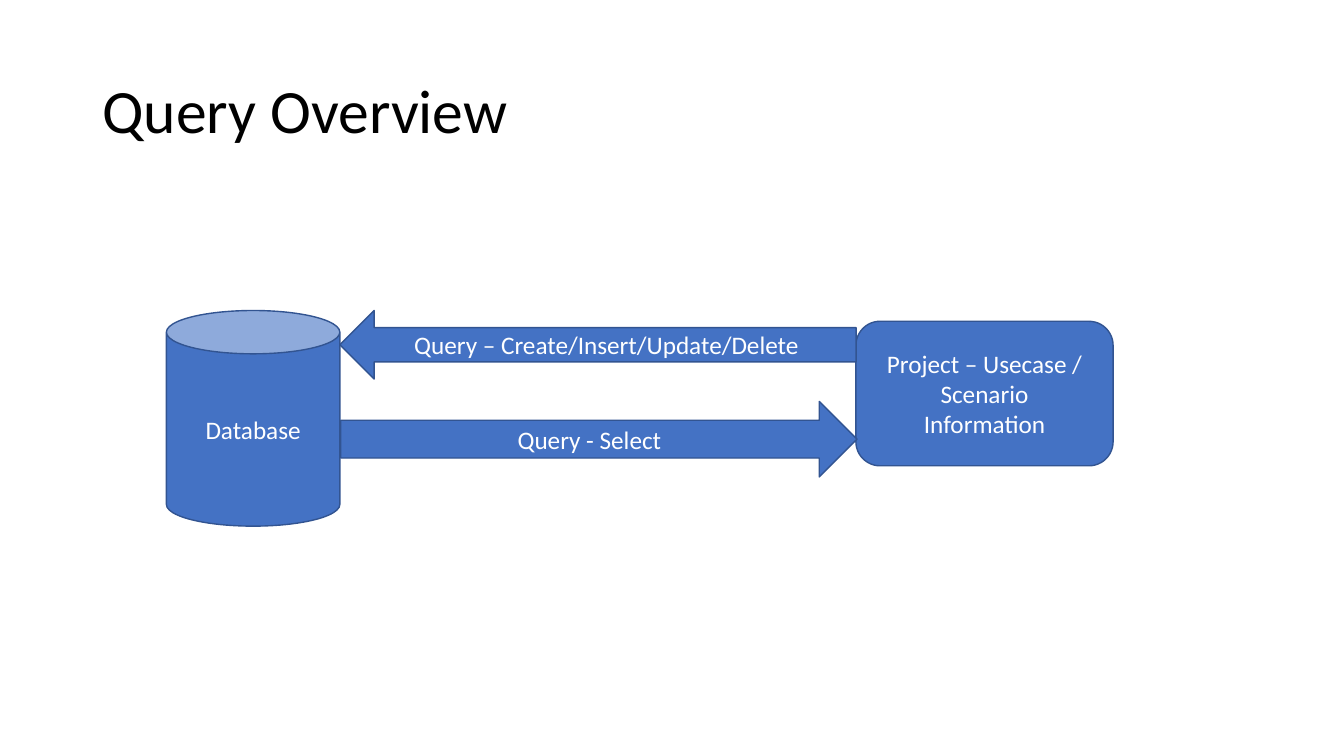
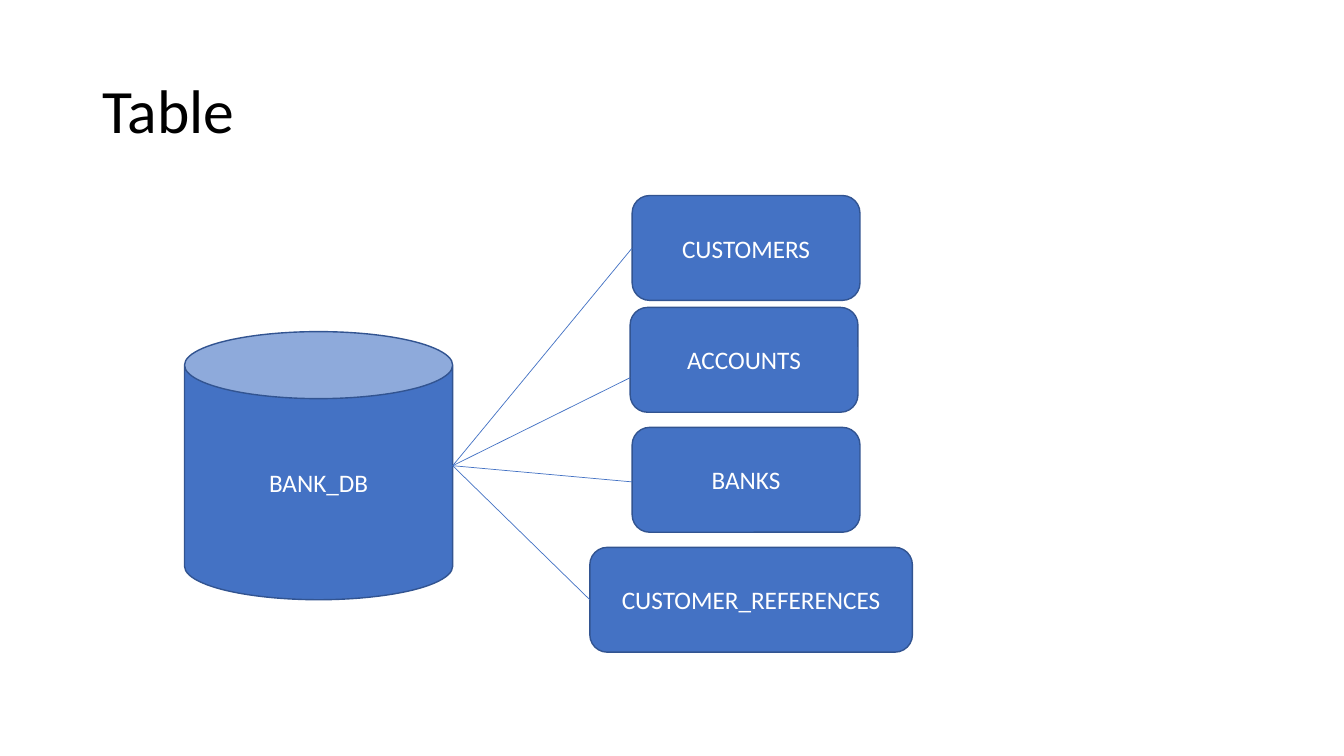
from dataclasses import dataclass
from typing import NamedTuple

from lxml import etree
from pptx import Presentation
from pptx import util as u
from pptx.dml.color import RGBColor
from pptx.enum import shapes, text
from pptx.oxml.ns import qn

KIND = shapes.MSO_SHAPE


@dataclass(frozen=True)
class Theme:
    """Colours, type and line widths shared by the slides."""
    font: str = "Calibri"
    title_size: float = 44
    label_size: float = 18
    title_color: RGBColor = RGBColor(0, 0, 0)
    label_color: RGBColor = RGBColor(255, 255, 255)
    fill: RGBColor = RGBColor.from_string("4472C4")
    outline: RGBColor = RGBColor.from_string("325491")
    outline_width: float = 1
    link_width: float = 0.5


class Box(NamedTuple):
    """A rectangle that hands out inner boxes by percentage."""
    x: float
    y: float
    w: float
    h: float

    def inner(self, x, y, w, h):
        """Return the box at the given percentages of this one."""
        return Box(round(self.x + self.w * x / 100), round(self.y + self.h * y / 100),
                   round(self.w * w / 100), round(self.h * h / 100))


THEME = Theme()


def add_run(p, words, size, color):
    """Add one styled run to a paragraph."""
    r = p.add_run()
    r.text = words
    r.font.name, r.font.size = THEME.font, u.Pt(size)
    r.font.color.rgb = color


def add_titled_slide(prs, title):
    """Add a slide with its title and return it with its whole area."""
    s = prs.slides.add_slide(prs.slide_layouts[5])
    area = Box(0, 0, prs.slide_width, prs.slide_height)
    sp = s.shapes.title
    sp.left, sp.top, sp.width, sp.height = area.inner(6.88, 5.33, 86.27, 19.33)
    tf = sp.text_frame
    tf.word_wrap = True
    tf.auto_size = text.MSO_AUTO_SIZE.NONE
    tf.vertical_anchor = text.MSO_ANCHOR.MIDDLE
    p = tf.paragraphs[0]
    p.alignment, p.line_spacing = text.PP_ALIGN.LEFT, 0.9
    add_run(p, title, THEME.title_size, THEME.title_color)
    return s, area


def add_node(s, kind, box, *lines):
    """Add a labelled shape, one paragraph per line."""
    sp = s.shapes.add_shape(kind, *box)
    sp.shadow.inherit = False
    sp.fill.solid()
    sp.fill.fore_color.rgb = THEME.fill
    sp.line.color.rgb = THEME.outline
    sp.line.width = u.Pt(THEME.outline_width)
    tf = sp.text_frame
    tf.word_wrap = True
    tf.vertical_anchor = text.MSO_ANCHOR.MIDDLE
    for i, words in enumerate(lines):
        p = tf.add_paragraph() if i else tf.paragraphs[0]
        p.alignment = text.PP_ALIGN.CENTER
        add_run(p, words, THEME.label_size, THEME.label_color)
    return sp


def add_link(s, source, target, share):
    """Draw a line from the source's right middle to the target's left side."""
    line = s.shapes.add_connector(
        shapes.MSO_CONNECTOR.STRAIGHT,
        source.left + source.width, source.top + source.height // 2,
        target.left, round(target.top + target.height * share))
    line.line.color.rgb = THEME.fill
    line.line.width = u.Pt(THEME.link_width)
    etree.SubElement(line._element.spPr, qn("a:effectLst"))


def query_flow(s, box):
    """Place the database, the project and the queries between them."""
    add_node(s, KIND.CAN, box.inner(0, 0, 18.32, 100), "Database")
    add_node(s, KIND.ROUNDED_RECTANGLE, box.inner(72.84, 5, 27.16, 67),
             "Project – Usecase / Scenario", "Information")
    add_node(s, KIND.RIGHT_ARROW, box.inner(18.42, 42.2, 54.53, 35), "Query - Select")
    add_node(s, KIND.LEFT_ARROW, box.inner(18.32, 0, 54.53, 31.8),
             "Query – Create/Insert/Update/Delete")


def table_tree(s, box):
    """Place the database and link it to each of its tables."""
    database = add_node(s, KIND.CAN, box.inner(0, 29.8, 36.84, 58.72), "BANK_DB")
    tables = [
        ("CUSTOMERS", 61.5, 0, 31.3, 0.5),
        ("ACCOUNTS", 61.22, 24.5, 31.3, 0.67),
        ("BANKS", 61.5, 50.77, 31.3, 0.52),
        ("CUSTOMER_REFERENCES", 55.68, 77.04, 44.32, 0.5),
    ]
    for name, x, y, width, share in tables:
        table = add_node(s, KIND.ROUNDED_RECTANGLE, box.inner(x, y, width, 22.96), name)
        add_link(s, database, table, share)


def main():
    """Build and save the presentation."""
    prs = Presentation()
    prs.slide_width, prs.slide_height = u.Inches(13.33), u.Inches(7.5)
    s, area = add_titled_slide(prs, "Query Overview")
    query_flow(s, area.inner(12.38, 41.07, 70.44, 28.53))
    s, area = add_titled_slide(prs, "Table")
    table_tree(s, area.inner(13.73, 25.87, 54.16, 60.4))
    prs.save("out.pptx")


main()
